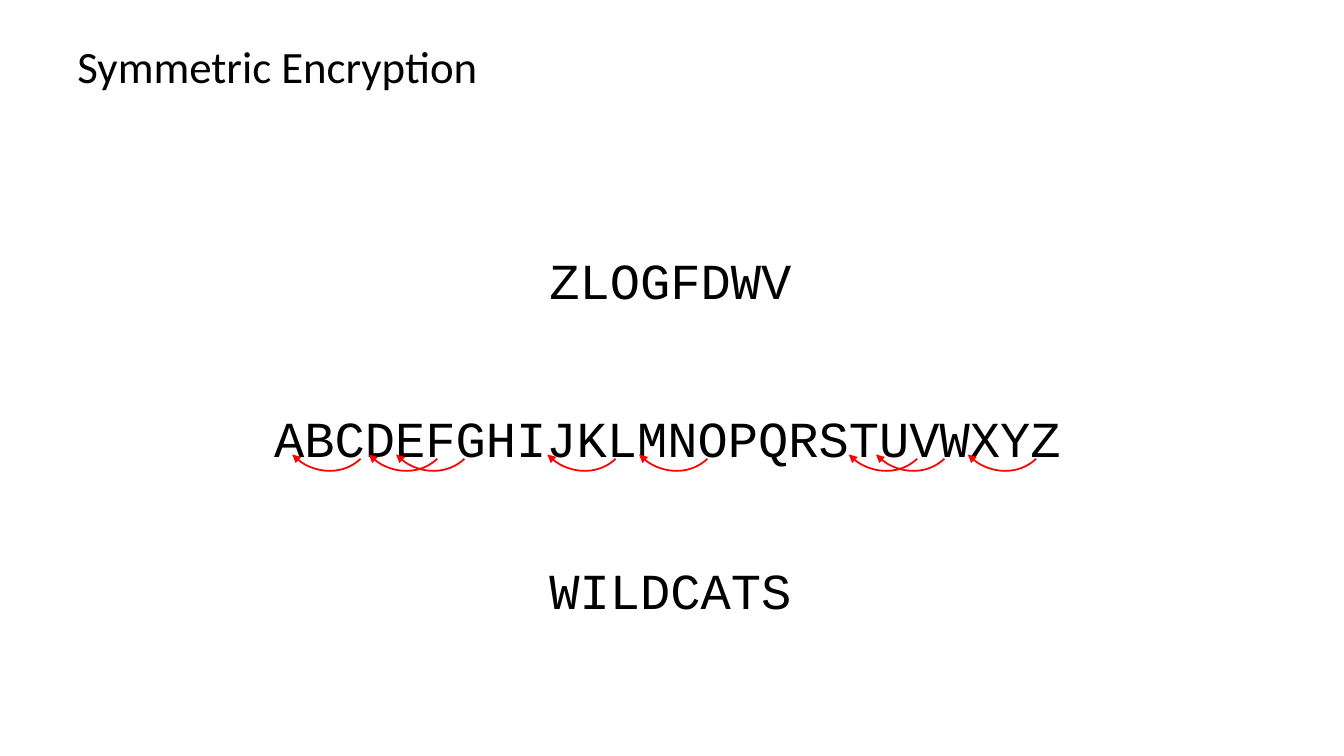
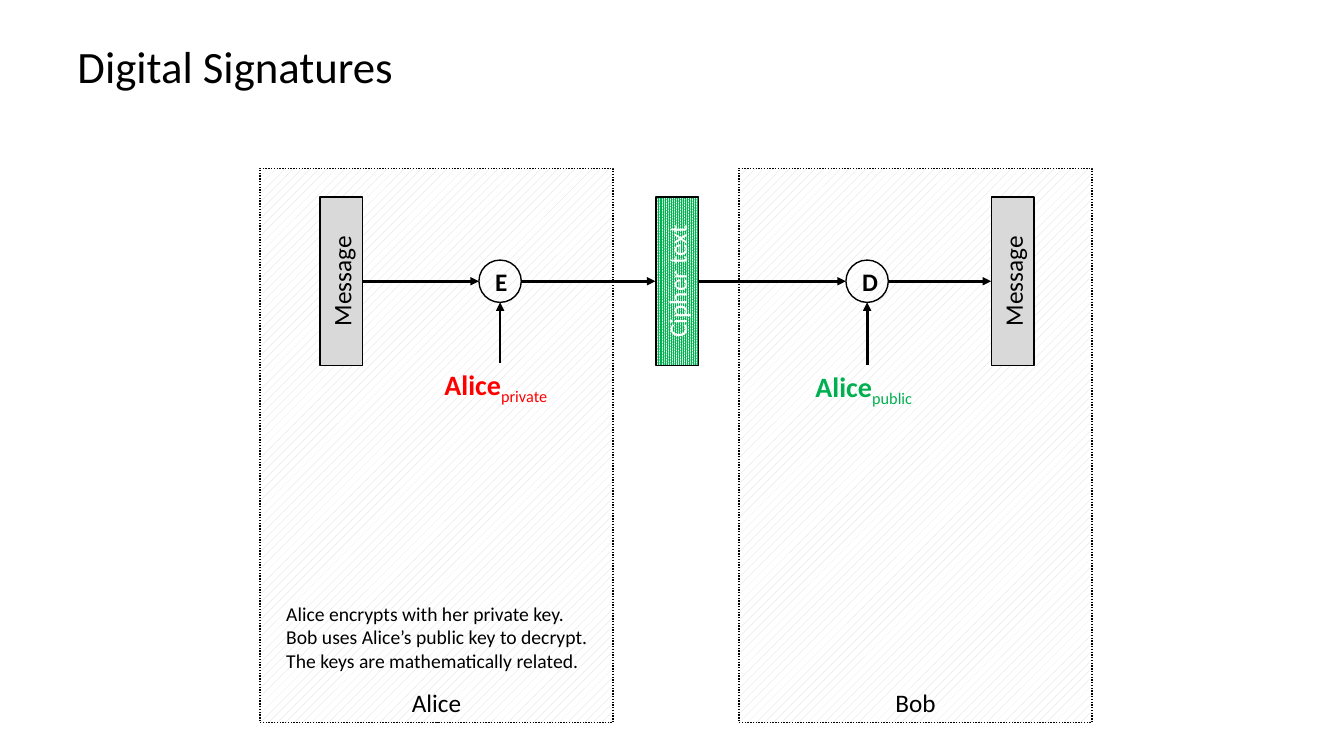
"""Build two slides on encryption and digital signatures."""
import itertools
from dataclasses import dataclass

import pptx
import pptx.util
import pptx.dml.color
import pptx.enum.dml
import pptx.enum.shapes
import pptx.enum.text
import pptx.oxml.ns
from lxml import etree

PX = 9144
SHAPE = pptx.enum.shapes.MSO_SHAPE
ANCHOR = pptx.enum.text.MSO_ANCHOR
ALIGN = pptx.enum.text.PP_ALIGN
FILL = pptx.enum.dml.MSO_PATTERN


@dataclass(frozen=True)
class Theme:
    """Hold the colours, fonts and sizes of the deck."""
    ink: str = "000000"
    paper: str = "FFFFFF"
    grey: str = "D9D9D9"
    red: str = "FF0000"
    green: str = "00B050"
    sans: str = "Calibri"
    mono: str = "Courier New"
    title: int = 32
    code: int = 36
    key: int = 20
    label: int = 18
    note: int = 14
    thin: float = 1
    arc: float = 1.25
    thick: float = 2


LOOK = Theme()


def px(*sizes):
    """Turn px lengths into EMU."""
    return [size * PX for size in sizes]


def rgb(code):
    """Turn a hex code into a colour."""
    return pptx.dml.color.RGBColor.from_string(code)


def style(run, size, color=LOOK.ink, font=LOOK.sans, bold=False):
    """Format one run."""
    run.font.size = pptx.util.Pt(size)
    run.font.name = font
    run.font.bold = bold
    run.font.color.rgb = rgb(color)


def write(frame, text, size, align=ALIGN.LEFT, **looks):
    """Fill a text frame and format its runs."""
    frame.text = text
    for para in frame.paragraphs:
        para.alignment = align
        for run in para.runs:
            style(run, size, **looks)


def label(slide, box, text, size, **looks):
    """Place a text box that grows with its text."""
    frame = slide.shapes.add_textbox(*px(*box)).text_frame
    write(frame, text, size, **looks)
    frame.word_wrap = False
    frame.auto_size = pptx.enum.text.MSO_AUTO_SIZE.SHAPE_TO_FIT_TEXT
    return frame


def head(slide, text):
    """Place the slide title."""
    frame = slide.shapes.add_textbox(*px(67, 30, 1200, 70)).text_frame
    frame.word_wrap = True
    frame.vertical_anchor = ANCHOR.MIDDLE
    write(frame, text, LOOK.title)


def stroke(shape, color, width):
    """Set the line colour and width."""
    shape.line.color.rgb = rgb(color)
    shape.line.width = pptx.util.Pt(width)


def tip(shape):
    """Add an arrowhead at the end of a line."""
    end = etree.SubElement(shape.get_or_add_ln(), pptx.oxml.ns.qn("a:tailEnd"))
    end.set("type", "triangle")


def form(slide, kind, box, fill=None, mesh=None, color=LOOK.ink, width=LOOK.thin):
    """Place a preset shape with a plain, patterned or empty fill."""
    shape = slide.shapes.add_shape(kind, *px(*box))
    shape.shadow.inherit = False
    if mesh:
        shape.fill.patterned()
        shape.fill.pattern = mesh
        shape.fill.fore_color.rgb = rgb(fill)
        shape.fill.back_color.rgb = rgb(LOOK.paper)
    elif fill:
        shape.fill.solid()
        shape.fill.fore_color.rgb = rgb(fill)
    else:
        shape.fill.background()
    stroke(shape, color, width)
    return shape


def name(shape, text, anchor=ANCHOR.MIDDLE, **looks):
    """Write a centred label inside a shape."""
    shape.text_frame.vertical_anchor = anchor
    shape.text_frame.word_wrap = True
    write(shape.text_frame, text, LOOK.label, ALIGN.CENTER, **looks)


def arrow(slide, *ends):
    """Draw a straight arrow."""
    kind = pptx.enum.shapes.MSO_CONNECTOR.STRAIGHT
    line = slide.shapes.add_connector(kind, *px(*ends))
    stroke(line, LOOK.ink, LOOK.thick)
    tip(line)
    etree.SubElement(line._element.spPr, pptx.oxml.ns.qn("a:effectLst"))


def zone(slide, box, text):
    """Draw the dotted area of one person."""
    area = form(slide, SHAPE.RECTANGLE, box, LOOK.grey, FILL.PERCENT_20)
    area.line.dash_style = pptx.enum.dml.MSO_LINE.ROUND_DOT
    name(area, text, ANCHOR.BOTTOM)


def bar(slide, x, y, text, fill=LOOK.grey, mesh=None, color=LOOK.ink):
    """Draw an upright bar around a centre point."""
    slab = form(slide, SHAPE.RECTANGLE, (x - 83, y - 21, 167, 42), fill, mesh)
    slab.rotation = 270
    name(slab, text, color=color)


def step(slide, x, y, text):
    """Draw a round step around a centre point."""
    ring = form(slide, SHAPE.OVAL, (x - 21, y - 21, 42, 42))
    name(ring, text, bold=True)


def key(slide, x, y, gap, wide, kind, color):
    """Place a key below a step and point it upwards."""
    top = y + gap
    frame = label(slide, (x - wide // 2, top, wide, 44), "Alice", LOOK.key,
                  color=color, bold=True)
    low = frame.paragraphs[0].add_run()
    low.text = kind
    style(low, LOOK.key, color)
    low._r.get_or_add_rPr().set("baseline", "-25000")
    arrow(slide, x, top, x, y + 21)


def shift(slide, left, top):
    """Show the cipher, the alphabet with its shifts, and the plain word."""
    rows = (("ZLOGFDWV", 273, 0, 263), ("ABCDEFGHIJKLMNOPQRSTUVWXYZ", 0, 157, 809),
            ("WILDCATS", 273, 308, 263))
    for text, x, y, wide in rows:
        label(slide, (left + x, top + y, wide, 71), text, LOOK.code, font=LOOK.mono)
    for x in (15, 91, 118, 268, 359, 567, 594, 685):
        hop = form(slide, SHAPE.ARC, (left + x, top + 127, 92, 100),
                   color=LOOK.red, width=LOOK.arc)
        hop.rotation = 136.2
        tip(hop)


def sign(slide, left, top):
    """Show how a message is signed by Alice and checked by Bob."""
    for x, text in ((475, "Bob"), (0, "Alice")):
        zone(slide, (left + x, top, 350, 550), text)
    mid = top + 112
    stops = [left + x for x in (80, 238, 413, 602, 746)]
    start, lock, code, open_, goal = stops
    for x in (start, goal):
        bar(slide, x, mid, "Message")
    bar(slide, code, mid, "Cipher text", LOOK.green, FILL.PERCENT_90, LOOK.paper)
    step(slide, lock, mid, "E")
    step(slide, open_, mid, "D")
    for here, there in itertools.pairwise(stops):
        arrow(slide, here + 21, mid, there - 21, mid)
    key(slide, lock, mid, 81, 130, "private", LOOK.red)
    key(slide, open_, mid, 83, 123, "public", LOOK.green)
    lines = ("Alice encrypts with her private key.",
             "Bob uses Alice’s public key to decrypt.",
             "The keys are mathematically related.")
    label(slide, (left + 16, top + 425, 322, 81), "\n".join(lines), LOOK.note)


def main():
    """Build and save the deck."""
    deck = pptx.Presentation()
    deck.slide_width, deck.slide_height = px(1333, 750)
    pages = (("Symmetric Encryption", shift, 262, 242),
             ("Digital Signatures", sign, 258, 167))
    for title, draw, left, top in pages:
        slide = deck.slides.add_slide(deck.slide_layouts[6])
        head(slide, title)
        draw(slide, left, top)
    deck.save("out.pptx")


if __name__ == "__main__":
    main()
